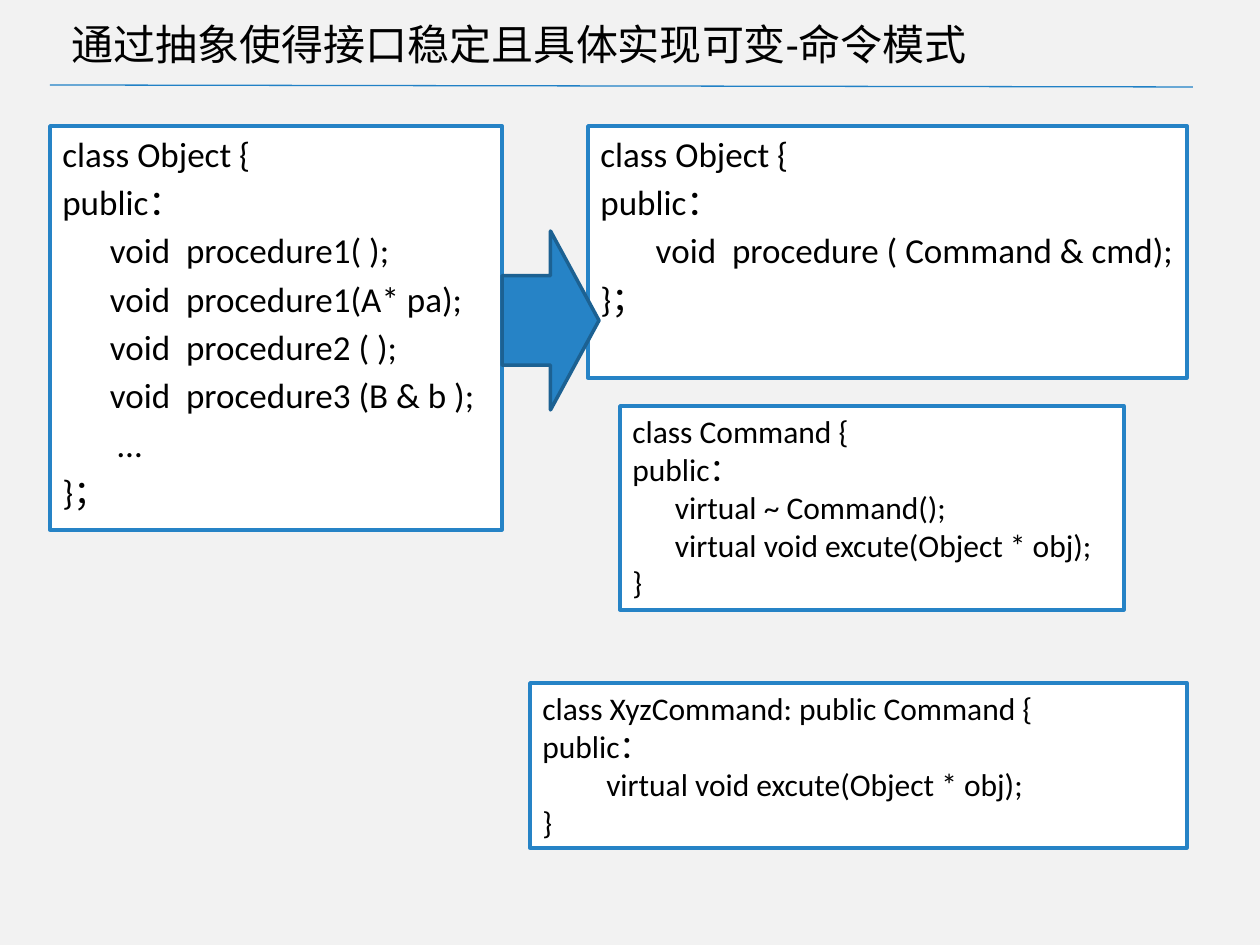
"""Build a slide that contrasts a class of many procedures with the command pattern."""
from pptx import Presentation
from pptx.dml.color import RGBColor
from pptx.enum.shapes import MSO_CONNECTOR, MSO_SHAPE
from pptx.enum.text import MSO_ANCHOR as Anchor, MSO_AUTO_SIZE as AutoSize, PP_ALIGN as Align
from pptx.oxml.ns import qn
from pptx.util import Pt
from lxml.etree import SubElement

PX = 914400 / 126
FONT = "Calibri"
BLACK = RGBColor(0x00, 0x00, 0x00)
WHITE = RGBColor(0xFF, 0xFF, 0xFF)
GREY = RGBColor(0xF2, 0xF2, 0xF2)
BLUE = RGBColor(0x26, 0x83, 0xC6)
DARK_BLUE = RGBColor(0x1C, 0x61, 0x92)
RULE_BLUE = RGBColor(0x21, 0x81, 0xC6)

CODE_BOXES = [
    ((50, 126, 452, 404), 20, 3.6, [
        "class Object {",
        "public：",
        "      void  procedure1( );",
        "      void  procedure1(A* pa);",
        "      void  procedure2 ( );",
        "      void  procedure3 (B & b );",
        "       …",
        "}；",
    ]),
    ((588, 126, 599, 252), 20, 3.6, [
        "class Object {",
        "public：",
        "       void  procedure ( Command & cmd);",
        "}；",
    ]),
    ((620, 406, 504, 204), 18, 0, [
        "class Command {",
        "public：",
        "      virtual ~ Command();",
        "      virtual void excute(Object * obj);",
        "}",
    ]),
    ((530, 683, 657, 165), 18, 0, [
        "class XyzCommand: public Command {",
        "public：",
        "         virtual void excute(Object * obj);",
        "}",
    ]),
]


def px(*lengths):
    return [round(length * PX) for length in lengths]


def add_box(preset, box, fill, line):
    shape = slide.shapes.add_shape(preset, *px(*box))
    shape.shadow.inherit = False
    shape.fill.solid()
    shape.fill.fore_color.rgb = fill
    shape.line.color.rgb = line
    shape.line.width = Pt(2)
    return shape


presentation = Presentation()
presentation.slide_width, presentation.slide_height = px(1260, 945)
slide = presentation.slides.add_slide(presentation.slide_layouts[5])
slide.background.fill.solid()
slide.background.fill.fore_color.rgb = GREY

rule = slide.shapes.add_connector(MSO_CONNECTOR.STRAIGHT, *px(50, 85, 1193, 87))
rule.line.color.rgb = RULE_BLUE
rule.line.width = Pt(0.75)
SubElement(rule._element.spPr, qn("a:effectLst"))

title = slide.shapes.title
title.left, title.top, title.width, title.height = px(50, 10, 1086, 67)
title_frame = title.text_frame
title_frame.text = "通过抽象使得接口稳定且具体实现可变-命令模式"
title_frame.auto_size = AutoSize.NONE
title_frame.vertical_anchor = Anchor.MIDDLE
title_frame.margin_left = px(22)[0]
heading = title_frame.paragraphs[0]
heading.alignment = Align.LEFT
heading.font.name = FONT
heading.font.size = Pt(24)
heading.font.color.rgb = BLACK

for box, size, gap, code_lines in CODE_BOXES:
    code_box = add_box(MSO_SHAPE.RECTANGLE, box, WHITE, BLUE)
    code_frame = code_box.text_frame
    code_frame.word_wrap = True
    code_frame.vertical_anchor = Anchor.TOP
    code_frame.text = "\n".join(code_lines)
    for index, paragraph in enumerate(code_frame.paragraphs):
        paragraph.alignment = Align.LEFT
        paragraph.space_before = Pt(gap if index else 0)
        paragraph.font.name = FONT
        paragraph.font.size = Pt(size)
        paragraph.font.color.rgb = BLACK

add_box(MSO_SHAPE.RIGHT_ARROW, (502, 231, 97, 179), BLUE, DARK_BLUE)

presentation.save("out.pptx")
